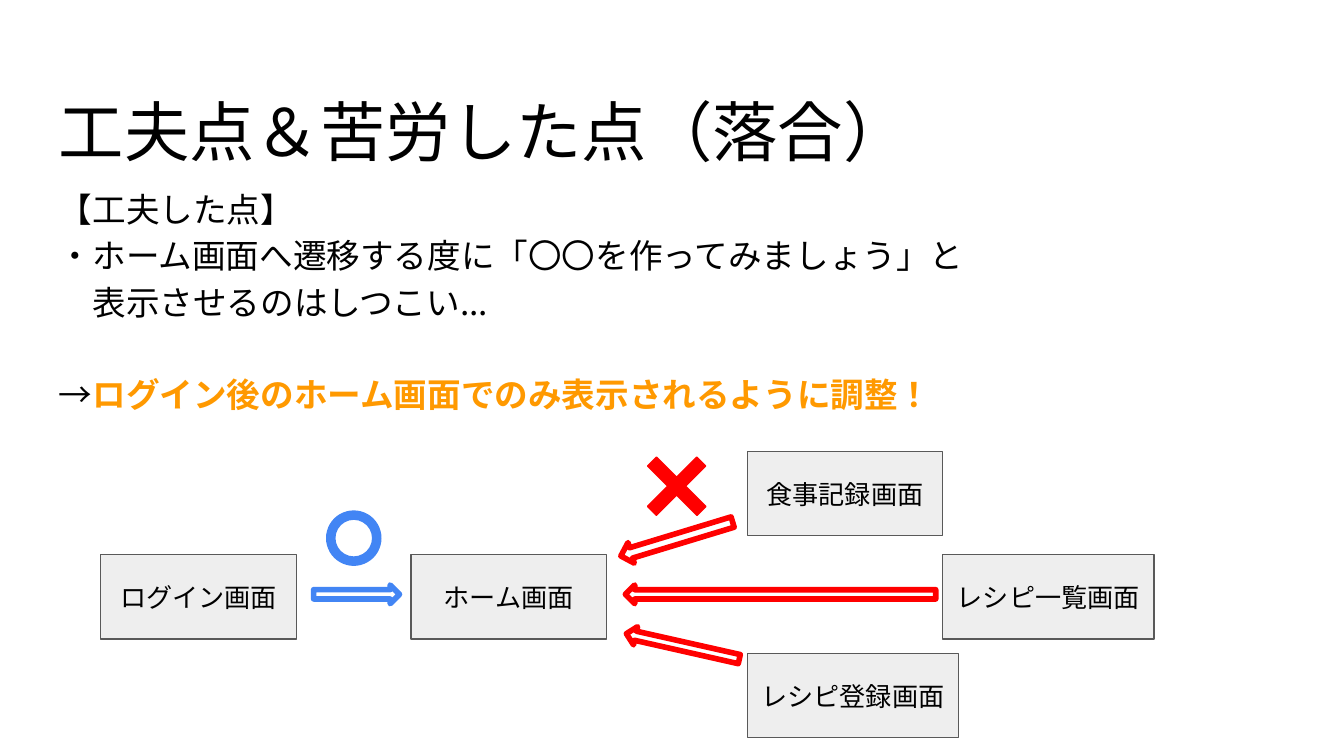
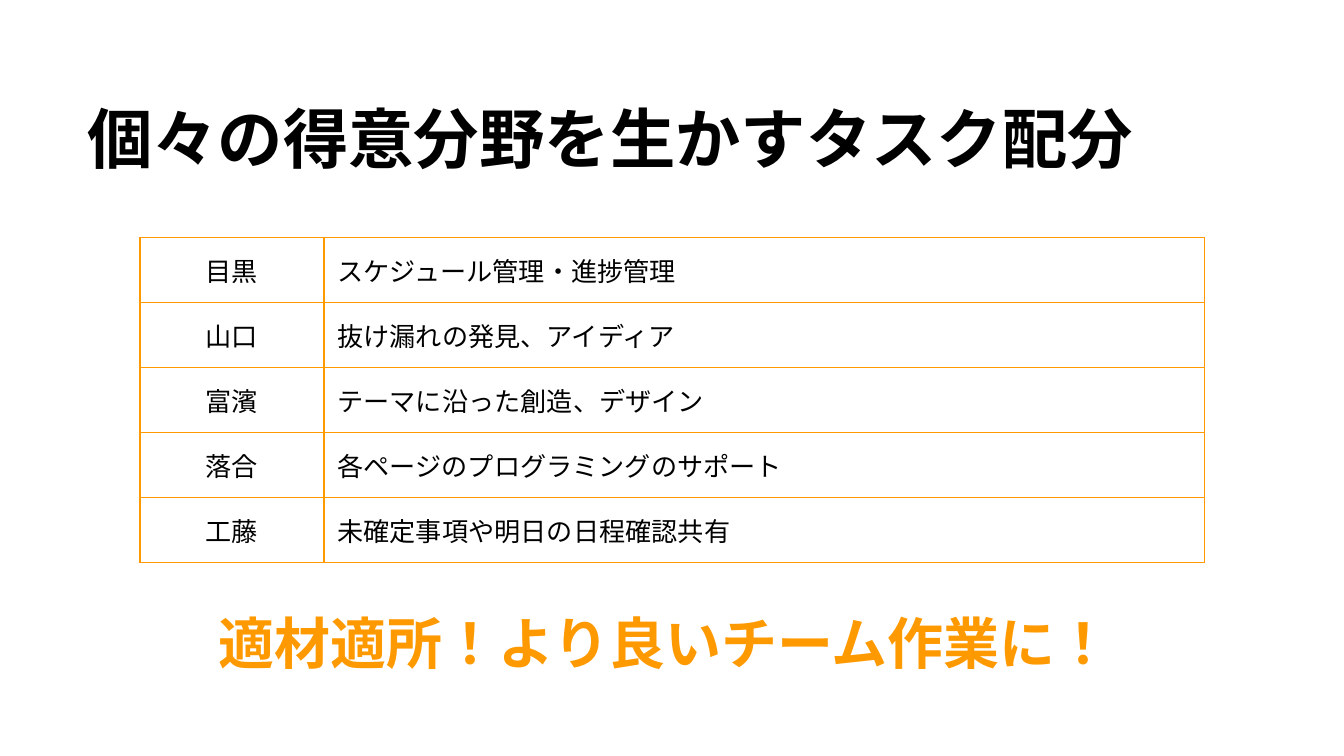
import pptx
import pptx.util
import pptx.dml.color
import pptx.enum.lang
import pptx.enum.shapes
import pptx.enum.text
import pptx.oxml
import pptx.oxml.ns

Pt = pptx.util.Pt
RGB = pptx.dml.color.RGBColor
KIND = pptx.enum.shapes.MSO_SHAPE
ALIGN = pptx.enum.text.PP_ALIGN
ANCHOR = pptx.enum.text.MSO_ANCHOR

FACE = "Noto Sans CJK JP"
BLACK = RGB(0x00, 0x00, 0x00)
ORANGE = RGB(0xFF, 0x99, 0x00)
GREY = RGB(0xEE, 0xEE, 0xEE)
EDGE = RGB(0x59, 0x59, 0x59)
BLUE = RGB(0x42, 0x85, 0xF4)
RED = RGB(0xFF, 0x00, 0x00)

PAD = Pt(7.2)
INSET = {"margin_left": PAD, "margin_right": PAD,
         "margin_top": PAD, "margin_bottom": PAD}
FRAME = {**INSET, "word_wrap": True}
FONT = {"name": FACE, "language_id": pptx.enum.lang.MSO_LANGUAGE_ID.JAPANESE}
TITLE = {"size": Pt(35)}
BODY = {"size": Pt(18)}
LABEL = {"size": Pt(14)}
SLOGAN = {"size": Pt(30), "bold": True}


def apply(item, style):
    for name, value in style.items():
        setattr(item, name, value)


def add_run(para, text, style, color=BLACK):
    run = para.add_run()
    run.text = text
    apply(run.font, {**FONT, **style})
    run.font.color.rgb = color
    face = pptx.oxml.ns.qn("a:ea")
    run.font._element.get_or_add_latin().addnext(
        run.font._element.makeelement(face, {"typeface": FACE}))


def add_text(slide, area, lines, style):
    frame = slide.shapes.add_textbox(*map(Pt, area)).text_frame
    apply(frame, FRAME)
    for index, (runs, before, indent) in enumerate(lines):
        para = frame.paragraphs[0] if index == 0 else frame.add_paragraph()
        apply(para, {"line_spacing": 1.15, "space_before": Pt(before)})
        if indent:
            para._p.get_or_add_pPr().set("marL", str(Pt(indent)))
        for text, extra, color in runs:
            add_run(para, text, {**style, **extra}, color)


def add_line(slide, area, text, style, color=BLACK):
    add_text(slide, area, [([(text, {}, color)], 0, 0)], style)


def add_form(slide, kind, area, line, width, fill=None, turn=0, adjust=None):
    form = slide.shapes.add_shape(kind, *map(Pt, area))
    form.shadow.inherit = False
    form.rotation = turn
    if fill is None:
        form.fill.background()
    else:
        form.fill.solid()
        form.fill.fore_color.rgb = fill
    form.line.color.rgb = line
    form.line.width = Pt(width)
    if adjust is not None:
        form.adjustments[0] = adjust
    return form


def add_screen(slide, text, left, top, width=104.8):
    box = add_form(slide, KIND.RECTANGLE, (left, top, width, 45.1), EDGE, 0.75, GREY)
    apply(box.text_frame, {**FRAME, "vertical_anchor": ANCHOR.MIDDLE})
    para = box.text_frame.paragraphs[0]
    para.alignment = ALIGN.CENTER
    add_run(para, text, LABEL)


def add_border(cell):
    props = cell._tc.get_or_add_tcPr()
    space = pptx.oxml.ns.nsdecls("a")
    for index, side in enumerate(("lnL", "lnR", "lnT", "lnB")):
        props.insert(index, pptx.oxml.parse_xml(
            f'<a:{side} {space} w="{Pt(0.75)}"><a:solidFill>'
            f'<a:srgbClr val="{ORANGE}"/></a:solidFill></a:{side}>'))


def add_grid(slide, left, top, widths, height, rows):
    table = slide.shapes.add_table(
        len(rows), len(widths), Pt(left), Pt(top),
        Pt(sum(widths)), Pt(height * len(rows))).table
    apply(table, {"first_row": False, "horz_banding": False})
    for column, width in zip(table.columns, widths):
        column.width = Pt(width)
    for row, texts in zip(table.rows, rows):
        row.height = Pt(height)
        for cell, text, align in zip(row.cells, texts, (ALIGN.CENTER, ALIGN.LEFT)):
            apply(cell, INSET)
            cell.fill.background()
            add_border(cell)
            para = cell.text_frame.paragraphs[0]
            para.alignment = align
            add_run(para, text, LABEL)


def build_flow(slide):
    add_line(slide, (24.5, 35.3, 671, 45.4), "工夫点＆苦労した点（落合）", TITLE)
    add_text(slide, (24.5, 90.7, 671, 269.3), [
        ([("【工夫した点】", {}, BLACK)], 0, 0),
        ([("・ホーム画面へ遷移する度に「〇〇を作ってみましょう」と", {}, BLACK)], 0, 0),
        ([("表示させるのはしつこい...", {}, BLACK)], 0, 18),
        ([("→", {}, BLACK),
          ("ログイン後のホーム画面でのみ表示されるように調整！",
           {"bold": True}, ORANGE)], 24.7, 0),
    ], BODY)

    middle = 297.2
    add_screen(slide, "ログイン画面", 54, middle)
    add_screen(slide, "ホーム画面", 220.2, middle)
    add_screen(slide, "食事記録画面", 400.3, 241.9)
    add_screen(slide, "レシピ登録画面", 400.3, 350.2, 113.3)
    add_screen(slide, "レシピ一覧画面", 505, middle, 113.3)

    for area, turn, color in (
            ((168, 313.4, 46, 10), 0, BLUE),
            ((335, 313.4, 166.3, 10), 180, RED),
            ((331.2, 283, 62.6, 11.5), 163.1, RED),
            ((334.8, 341.3, 62, 10), 192.7, RED)):
        add_form(slide, KIND.RIGHT_ARROW, area, color, 3, turn=turn)
    add_form(slide, KIND.DONUT, (175, 273.8, 29, 29), BLUE, 0.75, BLUE, adjust=0.15)
    add_form(slide, KIND.CROSS, (343.8, 241.8, 37.4, 37.4), RED, 0.75, RED, 45, 0.41)


def build_tasks(slide):
    add_line(slide, (39.6, 38.9, 591, 45.4), "個々の得意分野を生かすタスク配分",
             {**TITLE, "bold": True})
    add_line(slide, (110.2, 313.2, 500, 53.3), "適材適所！より良いチーム作業に！",
             SLOGAN, ORANGE)
    add_grid(slide, 75, 127.4, (98.6, 471.6), 34.8, (
        ("目黒", "スケジュール管理・進捗管理"),
        ("山口", "抜け漏れの発見、アイディア"),
        ("富濱", "テーマに沿った創造、デザイン"),
        ("落合", "各ページのプログラミングのサポート"),
        ("工藤", "未確定事項や明日の日程確認共有")))


def main():
    deck = pptx.Presentation()
    apply(deck, {"slide_width": Pt(720), "slide_height": Pt(405)})
    for build in (build_flow, build_tasks):
        build(deck.slides.add_slide(deck.slide_layouts[6]))
    deck.save("out.pptx")


if __name__ == "__main__":
    main()
